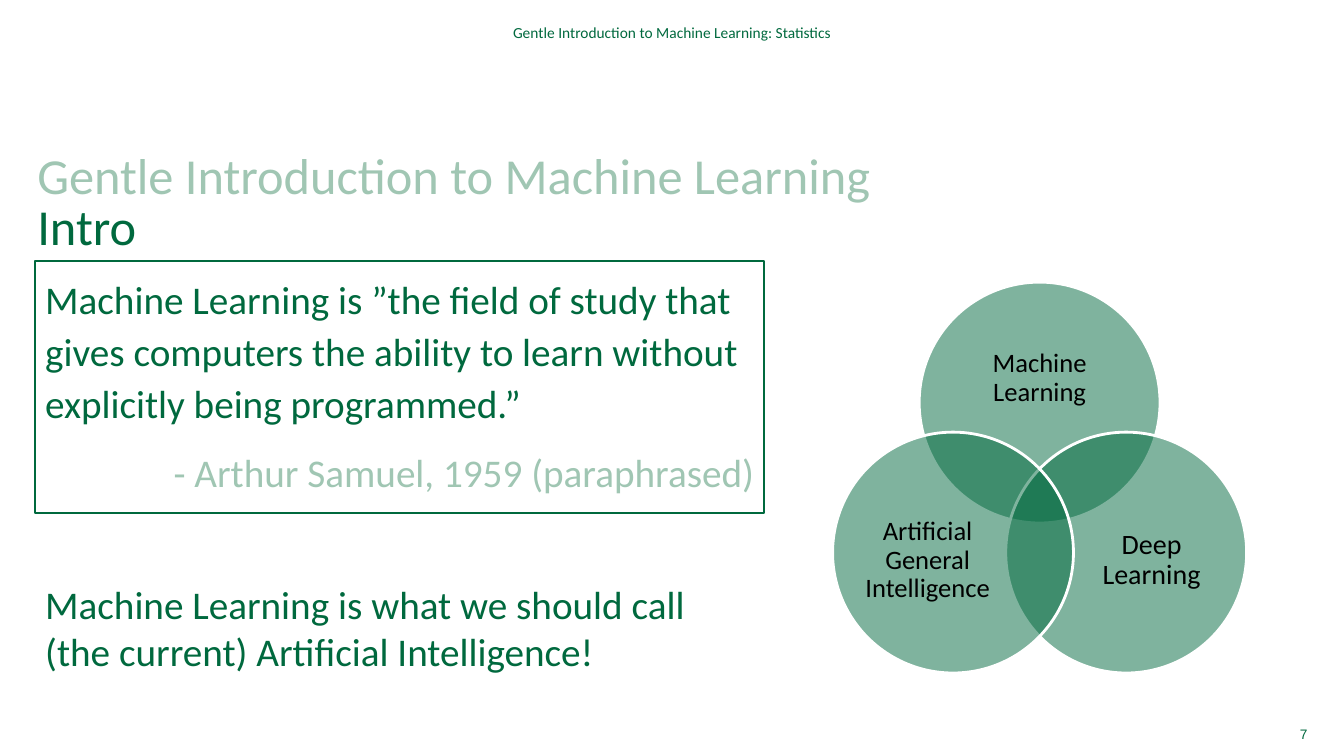
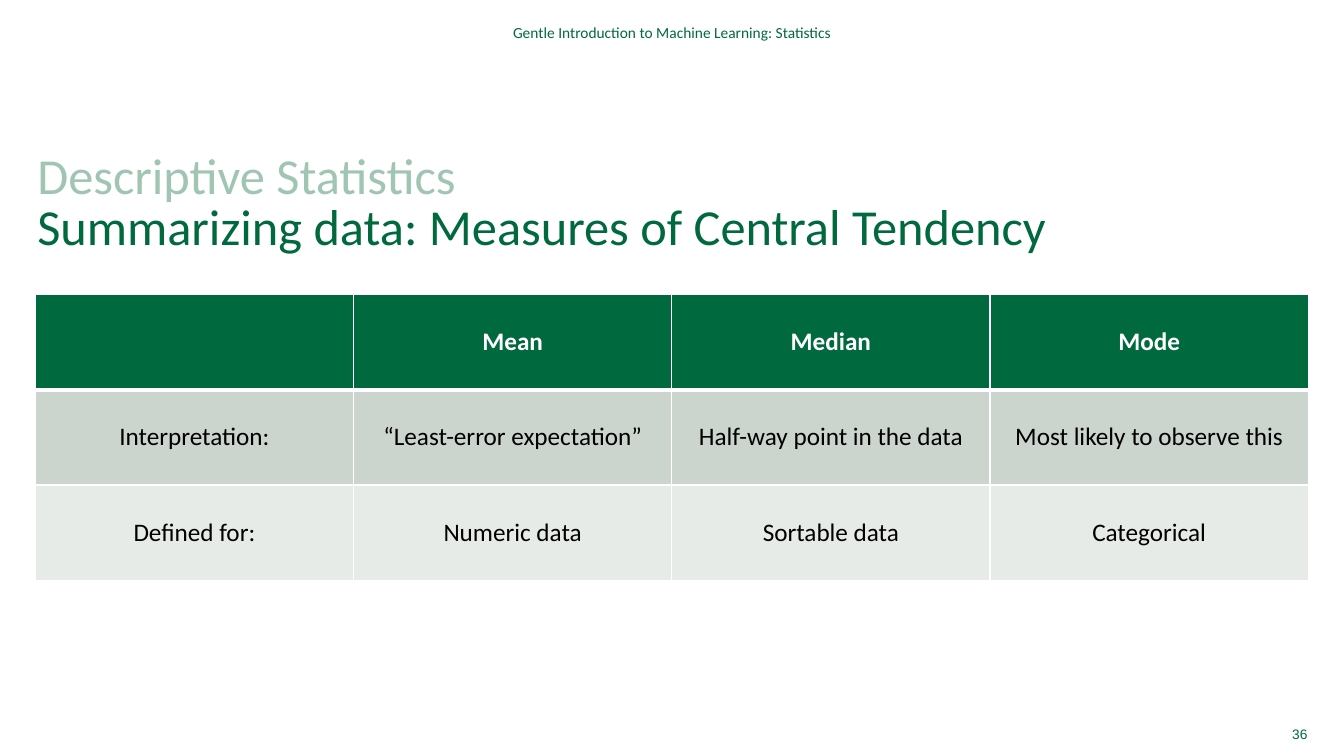
from math import cos, radians, sin

from lxml.etree import SubElement
from pptx import Presentation
from pptx.dml.color import RGBColor
from pptx.enum.shapes import MSO_SHAPE
from pptx.enum.text import MSO_ANCHOR, MSO_AUTO_SIZE, PP_ALIGN
from pptx.oxml.ns import qn
from pptx.util import Cm, Pt

LEFT, CENTER, RIGHT = PP_ALIGN.LEFT, PP_ALIGN.CENTER, PP_ALIGN.RIGHT
TOP, MIDDLE = MSO_ANCHOR.TOP, MSO_ANCHOR.MIDDLE
NO_AUTOFIT = MSO_AUTO_SIZE.NONE
ELLIPSE = MSO_SHAPE.OVAL

COLORS = {
    "green": "00693E",
    "pale_green": "A0C6B3",
    "band_dark": "CCD4CE",
    "band_light": "E7EBE8",
    "white": "FFFFFF",
    "black": "000000",
}
FONT = "Calibri"
NUMBER_FONT = "Arial"
HEADER = "Gentle Introduction to Machine Learning: Statistics"
TITLE_LAYOUT_INDEX, BODY_LAYOUT_INDEX = 5, 1

# Boxes are left, top, width, height in centimetres
TITLE_BOX = (0.94, 3.86, 32.08, 2.57)
HEADER_BOX = (6.63, 0.51, 20.62, 0.61)
NUMBER_BOX = (31.5, 18.19, 1.45, 0.61)
QUOTE_BOX = (0.89, 6.58, 18.36, 6.35)
CLAIM_BOX = (0.89, 14.5, 18.36, 2.64)
VENN_BOX = (20.98, 7.11, 10.44, 9.85)
TABLE_BOX = (0.89, 7.42, 32.08, 7.2)


def rgb(name):
    return RGBColor.from_string(COLORS[name])


def place(shape, box):
    shape.left, shape.top, shape.width, shape.height = map(Cm, box)


def style_run(run, size, color="green", font=FONT, bold=False):
    run.font.size = Pt(size)
    run.font.name = font
    run.font.bold = bold
    run.font.color.rgb = rgb(color)


def style_frame(frame, margins=(0, 0, 0, 0), anchor=TOP):
    frame.word_wrap = True
    frame.auto_size = NO_AUTOFIT
    frame.vertical_anchor = anchor
    (frame.margin_left, frame.margin_top,
     frame.margin_right, frame.margin_bottom) = map(Cm, margins)


def add_label(slide, box, text, size, align=CENTER, color="green", font=FONT,
              margins=(0, 0, 0, 0), anchor=MIDDLE, line_spacing=1.0):
    label = slide.shapes.add_textbox(*map(Cm, box))
    style_frame(label.text_frame, margins, anchor)
    paragraph = label.text_frame.paragraphs[0]
    paragraph.text = text
    paragraph.alignment = align
    paragraph.line_spacing = line_spacing
    style_run(paragraph.runs[0], size, color, font)


# Title, running header and page number shared by all slides
def add_slide(presentation, layout_index, topic, heading, number):
    slide = presentation.slides.add_slide(presentation.slide_layouts[layout_index])
    title = slide.shapes.title
    place(title, TITLE_BOX)
    style_frame(title.text_frame)
    paragraph = title.text_frame.paragraphs[0]
    paragraph.text = f"{topic}\v{heading}"
    paragraph.alignment = LEFT
    paragraph.line_spacing = 0.85
    for run, color in zip(paragraph.runs, ("pale_green", "green")):
        style_run(run, 36, color)
    add_label(slide, HEADER_BOX, HEADER, 11)
    add_label(slide, NUMBER_BOX, number, 9.8, RIGHT, font=NUMBER_FONT)
    return slide


# Framed quotation with its author
def fill_quote(shape, box, quote, author):
    place(shape, box)
    shape.line.color.rgb = rgb("green")
    shape.line.width = Pt(1.5)
    frame = shape.text_frame
    style_frame(frame, (0.25, 0.25, 0.25, 0))
    frame.text = f"{quote}\n{author}"
    styles = ((LEFT, 0, "green"), (RIGHT, 6, "pale_green"))
    for paragraph, (align, before, color) in zip(frame.paragraphs, styles):
        properties = paragraph._p.get_or_add_pPr()
        properties.set("marL", "0")
        properties.set("indent", "0")
        SubElement(properties, qn("a:buNone"))
        paragraph.alignment = align
        paragraph.line_spacing = 1.1
        paragraph.space_before = Pt(before)
        paragraph.space_after = Pt(6)
        style_run(paragraph.runs[0], 28, color)


# Three overlapping circles, evenly spread around a common centre
def add_venn(slide, box, circles):
    left, top, width, height = box
    diameter = 6.07
    orbit = (height - diameter) / 1.5
    center_x = left + width / 2
    center_y = top + diameter / 2 + orbit
    for index, (text, size, shift, label_size) in enumerate(circles):
        angle = radians(120 * index - 90)
        x = center_x + orbit * cos(angle)
        y = center_y + orbit * sin(angle)
        circle = slide.shapes.add_shape(
            ELLIPSE, Cm(x - diameter / 2), Cm(y - diameter / 2),
            Cm(diameter), Cm(diameter))
        circle.shadow.inherit = False
        circle.fill.solid()
        circle.fill.fore_color.rgb = rgb("green")
        fill_color = circle._element.spPr.find(qn("a:solidFill"))[0]
        SubElement(fill_color, qn("a:alpha"), val="50000")
        circle.line.color.rgb = rgb("white")
        circle.line.width = Pt(2)
        label_width, label_height = label_size
        label_box = (x + shift[0] - label_width / 2,
                     y + shift[1] - label_height / 2, label_width, label_height)
        add_label(slide, label_box, text, size, color="black", line_spacing=0.9)


def add_cell_borders(cell, top, bottom):
    properties = cell._tc.get_or_add_tcPr()
    for side, points in (("L", 1), ("R", 1), ("T", top), ("B", bottom)):
        line = SubElement(properties, qn(f"a:ln{side}"), w=str(Pt(points)))
        fill = SubElement(line, qn("a:solidFill"))
        SubElement(fill, qn("a:srgbClr"), val=COLORS["white"])


# Table with a header row and banded rows
def add_banded_table(slide, box, rows):
    table = slide.shapes.add_table(len(rows), len(rows[0]), *map(Cm, box)).table
    table.horz_banding = False
    fills = ("green", "band_dark", "band_light")
    for row_index, (texts, fill) in enumerate(zip(rows, fills)):
        is_header = row_index == 0
        for column_index, text in enumerate(texts):
            cell = table.cell(row_index, column_index)
            add_cell_borders(cell, top=3 if row_index == 1 else 1,
                             bottom=3 if is_header else 1)
            cell.fill.solid()
            cell.fill.fore_color.rgb = rgb(fill)
            cell.vertical_anchor = MIDDLE
            paragraph = cell.text_frame.paragraphs[0]
            paragraph.text = text
            paragraph.alignment = CENTER
            for run in paragraph.runs:
                style_run(run, 18, "white" if is_header else "black", bold=is_header)


def build_intro_slide(presentation):
    slide = add_slide(presentation, BODY_LAYOUT_INDEX,
                      "Gentle Introduction to Machine Learning", "Intro", "7")
    fill_quote(
        slide.placeholders[1], QUOTE_BOX,
        "Machine Learning is ”the field of study that gives computers "
        "the ability to learn without explicitly being programmed.”",
        "- Arthur Samuel, 1959 (paraphrased)")
    # Text, font size, label shift from the circle centre, label size
    add_venn(slide, VENN_BOX, (
        ("Machine Learning", 19, (0, -0.61), (4.45, 2.72)),
        ("Deep Learning", 20, (0.64, 0.2), (3.63, 3.33)),
        ("Artificial General Intelligence", 19, (-0.64, 0.2), (3.63, 3.33)),
    ))
    add_label(
        slide, CLAIM_BOX,
        "Machine Learning is what we should call (the current) Artificial Intelligence!",
        28, LEFT, margins=(0.25, 0.13, 0.25, 0.13), anchor=TOP)


def build_tendency_slide(presentation):
    slide = add_slide(presentation, TITLE_LAYOUT_INDEX, "Descriptive Statistics",
                      "Summarizing data: Measures of Central Tendency", "36")
    add_banded_table(slide, TABLE_BOX, (
        ("", "Mean", "Median", "Mode"),
        ("Interpretation:", "“Least-error expectation”",
         "Half-way point in the data", "Most likely to observe this"),
        ("Defined for:", "Numeric data", "Sortable data", "Categorical"),
    ))


def main():
    presentation = Presentation()
    presentation.slide_width = Cm(33.87)
    presentation.slide_height = Cm(19.05)
    build_intro_slide(presentation)
    build_tendency_slide(presentation)
    presentation.save("out.pptx")


if __name__ == "__main__":
    main()
